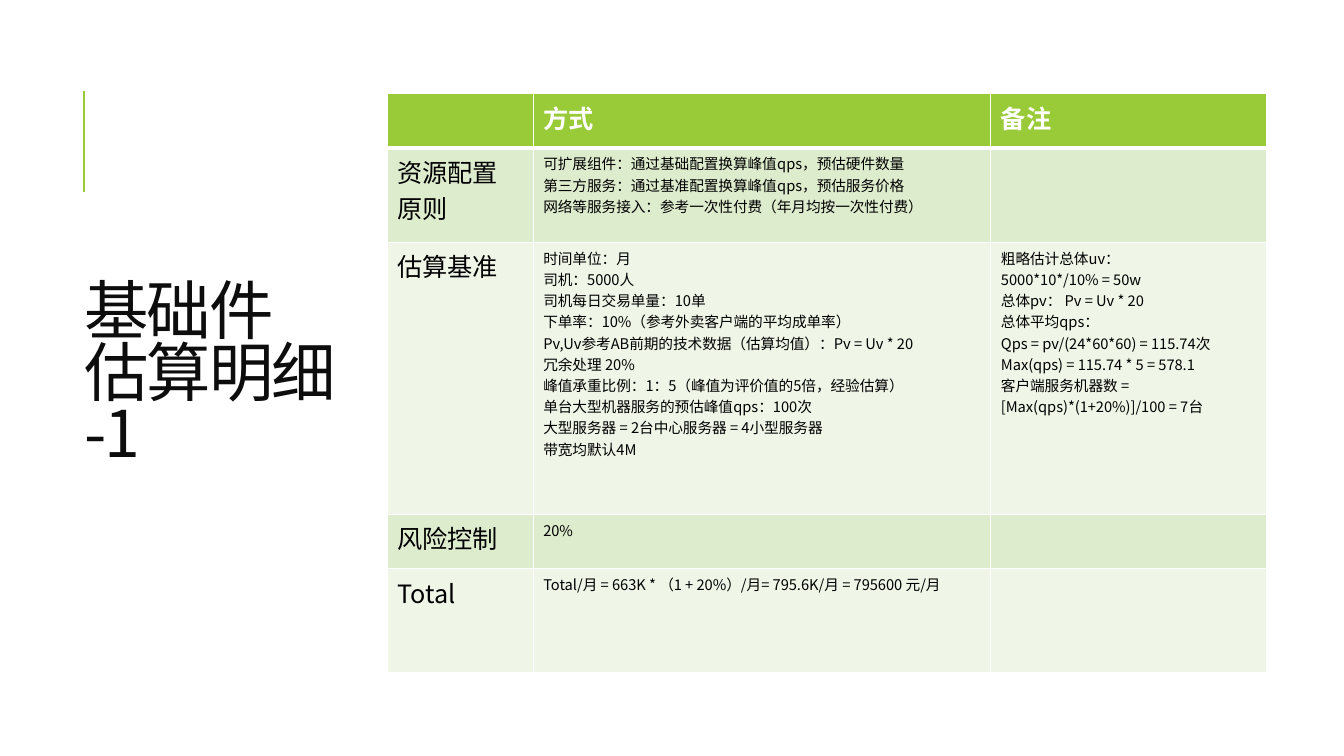
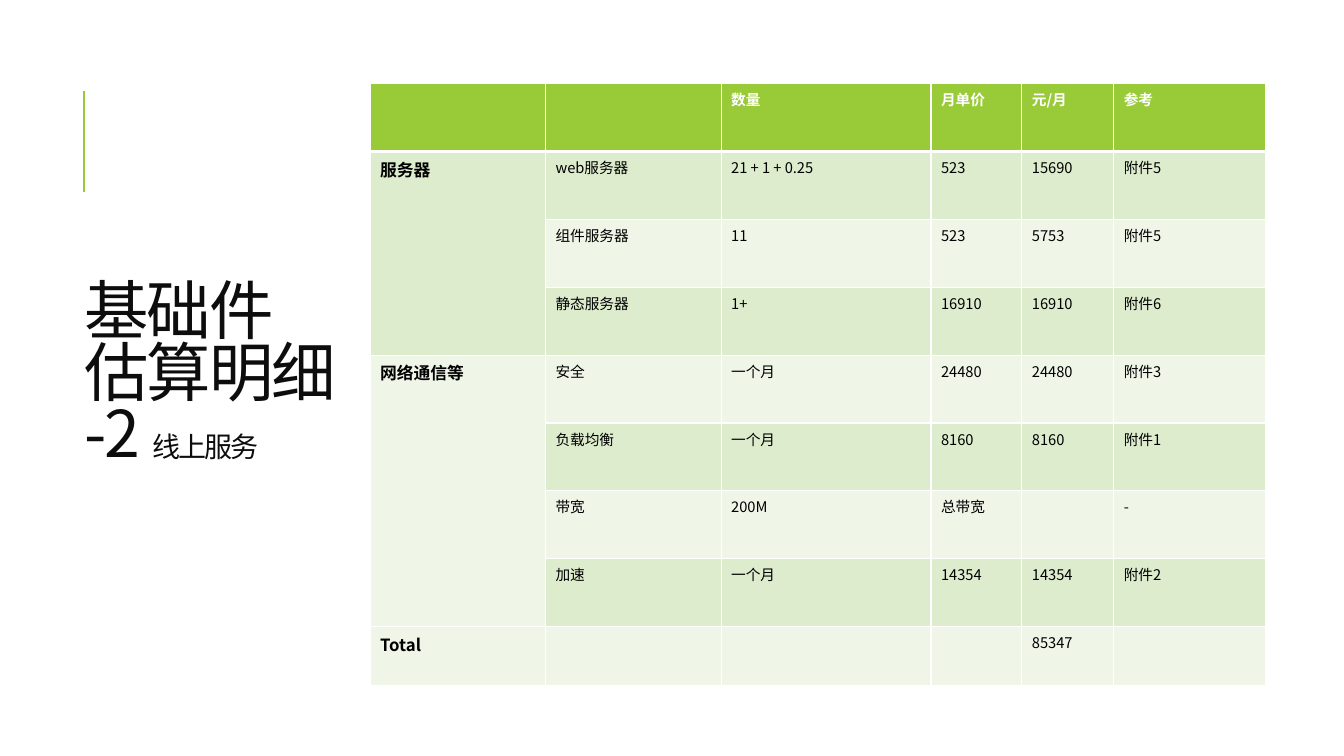
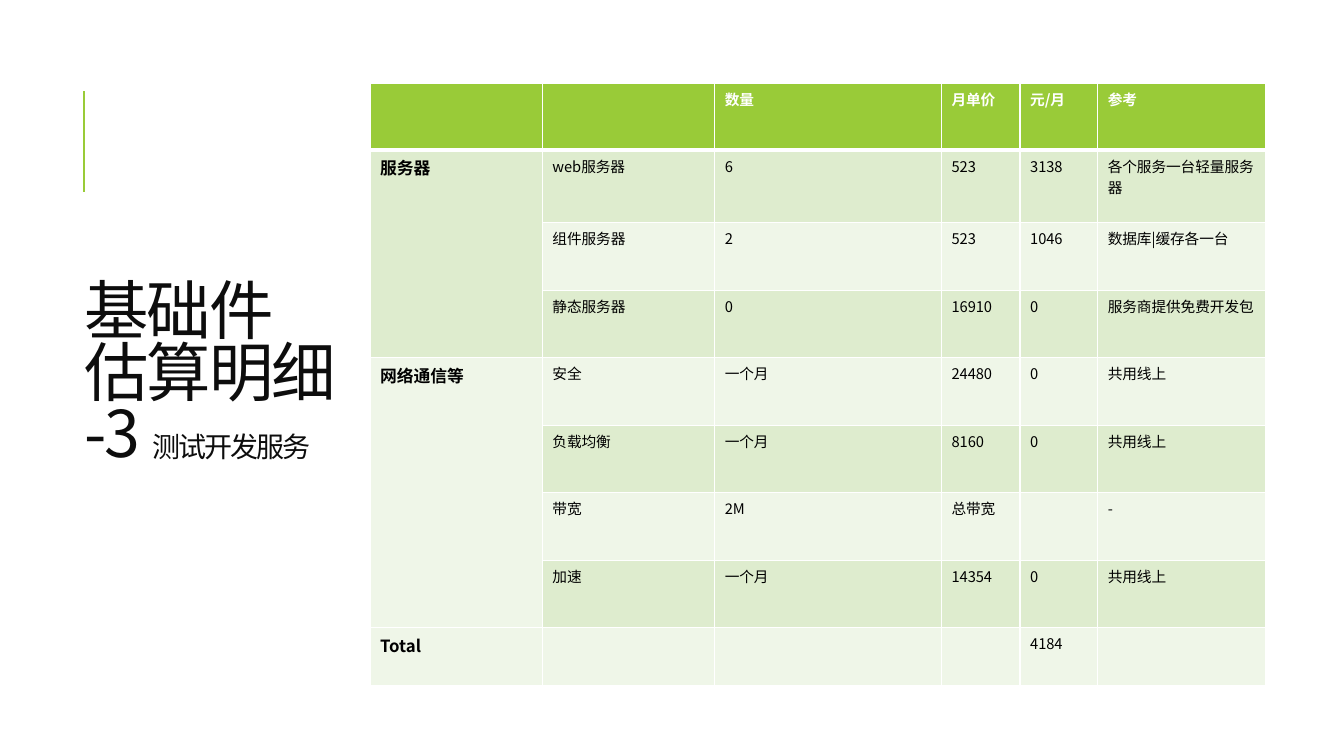
from lxml.etree import SubElement
from pptx import Presentation
from pptx.dml.color import RGBColor
from pptx.enum.shapes import MSO_CONNECTOR as Connector
from pptx.enum.text import MSO_ANCHOR as Anchor
from pptx.oxml import parse_xml
from pptx.oxml.ns import nsdecls, qn
from pptx.util import Inches, Pt

GREEN = RGBColor(0x99, 0xCB, 0x38)
BAND_DARK = RGBColor(0xDE, 0xEC, 0xCE)
BAND_LIGHT = RGBColor(0xEF, 0xF6, 0xE8)
WHITE = RGBColor(0xFF, 0xFF, 0xFF)
BLACK = RGBColor(0, 0, 0)
TITLE_INK = RGBColor(0x0D, 0x0D, 0x0D)
FONT = "Noto Sans CJK SC"
SMALL, MEDIUM, LARGE = 10.5, 12, 18


def write(paragraph, text, size=SMALL, color=BLACK, bold=False, tracking=0):
    for number, line in enumerate(text.split("\n")):
        if number:
            paragraph.add_line_break()
        run = paragraph.add_run()
        run.text = line
        run.font.size = Pt(size)
        run.font.bold = bold
        run.font.color.rgb = color
        run.font.name = FONT
        properties = run.font._element
        SubElement(properties, qn("a:ea")).set("typeface", FONT)
        if tracking:
            properties.set("spc", str(int(tracking * 100)))


def set_borders(cell, top, bottom):
    widths = {"lnL": 1, "lnR": 1, "lnT": top, "lnB": bottom}
    for place, (side, width) in enumerate(widths.items()):
        border = parse_xml(
            f'<a:{side} {nsdecls("a")} w="{Pt(width)}"><a:solidFill>'
            f'<a:srgbClr val="{WHITE}"/></a:solidFill></a:{side}>')
        cell._tc.get_or_add_tcPr().insert(place, border)


PRINCIPLES = [
    ["", "方式", "备注"],
    ["资源配置\n原则",
     "可扩展组件：通过基础配置换算峰值qps，预估硬件数量\n"
     "第三方服务：通过基准配置换算峰值qps，预估服务价格\n"
     "网络等服务接入：参考一次性付费（年月均按一次性付费）", ""],
    ["估算基准",
     "时间单位：月\n"
     "司机：5000人\n"
     "司机每日交易单量：10单\n"
     "下单率：10%（参考外卖客户端的平均成单率）\n"
     "Pv,Uv参考AB前期的技术数据（估算均值）：Pv = Uv * 20\n"
     "冗余处理 20%\n"
     "峰值承重比例：1：5（峰值为评价值的5倍，经验估算）\n"
     "单台大型机器服务的预估峰值qps：100次\n"
     "大型服务器 = 2台中心服务器 = 4小型服务器\n"
     "带宽均默认4M",
     "粗略估计总体uv：\n"
     "5000*10*/10% = 50w\n"
     "总体pv： Pv = Uv * 20\n"
     "总体平均qps：\n"
     "Qps = pv/(24*60*60) = 115.74次\n"
     "Max(qps) = 115.74 * 5 = 578.1\n"
     "客户端服务机器数 =\n"
     "[Max(qps)*(1+20%)]/100 = 7台"],
    ["风险控制", "20%", ""],
    ["Total", "Total/月 = 663K * （1 + 20%）/月= 795.6K/月 = 795600 元/月", ""],
]
COST_HEADER = ["", "", "数量", "月单价", "元/月", "参考"]
ONLINE_COSTS = [
    COST_HEADER,
    ["服务器", "web服务器", "21 + 1 + 0.25", "523", "15690", "附件5"],
    ["", "组件服务器", "11", "523", "5753", "附件5"],
    ["", "静态服务器", "1+", "16910", "16910", "附件6"],
    ["网络通信等", "安全", "一个月", "24480", "24480", "附件3"],
    ["", "负载均衡", "一个月", "8160", "8160", "附件1"],
    ["", "带宽", "200M", "总带宽", "", "-"],
    ["", "加速", "一个月", "14354", "14354", "附件2"],
    ["Total", "", "", "", "85347", ""],
]
TEST_COSTS = [
    COST_HEADER,
    ["服务器", "web服务器", "6", "523", "3138", "各个服务一台轻量服务器"],
    ["", "组件服务器", "2", "523", "1046", "数据库|缓存各一台"],
    ["", "静态服务器", "0", "16910", "0", "服务商提供免费开发包"],
    ["网络通信等", "安全", "一个月", "24480", "0", "共用线上"],
    ["", "负载均衡", "一个月", "8160", "0", "共用线上"],
    ["", "带宽", "2M", "总带宽", "", "-"],
    ["", "加速", "一个月", "14354", "0", "共用线上"],
    ["Total", "", "", "", "4184", ""],
]

PRINCIPLE_STYLE = {
    "area": (28.8, 12.4, 65.48, 76.53), "groups": [],
    "header_size": LARGE, "label": {"size": LARGE}}
COST_STYLE = {
    "area": (27.53, 11.07, 66.68, 79.6), "groups": [(1, 3), (4, 7)],
    "header_size": SMALL, "label": {"size": MEDIUM, "bold": True}}

PAGES = [
    ("-1", "", PRINCIPLES, PRINCIPLE_STYLE,
     [1.45, 4.54, 2.74], [0.54, 0.94, 2.71, 0.54, 1.03]),
    ("-2 ", "线上服务", ONLINE_COSTS, COST_STYLE,
     [1.74, 1.74, 2.08, 0.9, 0.91, 1.51], [0.67] * 8 + [0.58]),
    ("-3 ", "测试开发服务", TEST_COSTS, COST_STYLE,
     [1.71, 1.71, 2.25, 0.78, 0.77, 1.67], [0.66, 0.72] + [0.67] * 6 + [0.57]),
]

deck = Presentation()
deck.slide_width, deck.slide_height = Inches(13.33), Inches(7.5)
COL, ROW = deck.slide_width / 100, deck.slide_height / 100

for number, subtitle, content, style, col_shares, row_shares in PAGES:
    slide = deck.slides.add_slide(deck.slide_layouts[6])

    accent = slide.shapes.add_connector(
        Connector.STRAIGHT, int(6.24 * COL), int(25.4 * ROW),
        int(6.24 * COL), int(12.1 * ROW))
    accent.line.color.rgb = GREEN
    accent.line.width = Pt(1.5)
    SubElement(accent._element.spPr, qn("a:effectLst"))

    title = slide.shapes.add_textbox(
        int(6.3 * COL), int(9.33 * ROW), int(24.08 * COL), int(81.2 * ROW)).text_frame
    title.word_wrap = True
    title.vertical_anchor = Anchor.MIDDLE
    title.margin_left = title.margin_right = title.margin_top = title.margin_bottom = 0
    heading = title.paragraphs[0]
    heading.line_spacing = 0.8
    write(heading, f"基础件\n估算明细\n{number}", size=46, color=TITLE_INK, tracking=-1.5)
    if subtitle:
        write(heading, subtitle, size=20, color=TITLE_INK, tracking=-1.5)

    left, top, width, height = style["area"]
    estimate = slide.shapes.add_table(
        len(content), len(content[0]), int(left * COL), int(top * ROW),
        int(width * COL), int(height * ROW)).table
    estimate.horz_banding = False
    for column, share in zip(estimate.columns, col_shares):
        column.width = int(width * COL * share / sum(col_shares))
    for row, share in zip(estimate.rows, row_shares):
        row.height = int(height * ROW * share / sum(row_shares))

    for r, texts in enumerate(content):
        for c, text in enumerate(texts):
            cell = estimate.cell(r, c)
            cell.fill.solid()
            if r == 0:
                cell.fill.fore_color.rgb = GREEN
                look = {"size": style["header_size"], "color": WHITE, "bold": True}
            else:
                cell.fill.fore_color.rgb = BAND_DARK if r % 2 else BAND_LIGHT
                look = style["label"] if c == 0 else {}
            set_borders(cell, top=3 if r == 1 else 1, bottom=3 if r == 0 else 1)
            if text:
                frame = cell.text_frame
                for n, line in enumerate(text.split("\n")):
                    write(frame.add_paragraph() if n else frame.paragraphs[0], line, **look)

    for first, last in style["groups"]:
        estimate.cell(first, 0).merge(estimate.cell(last, 0))

deck.save("out.pptx")
